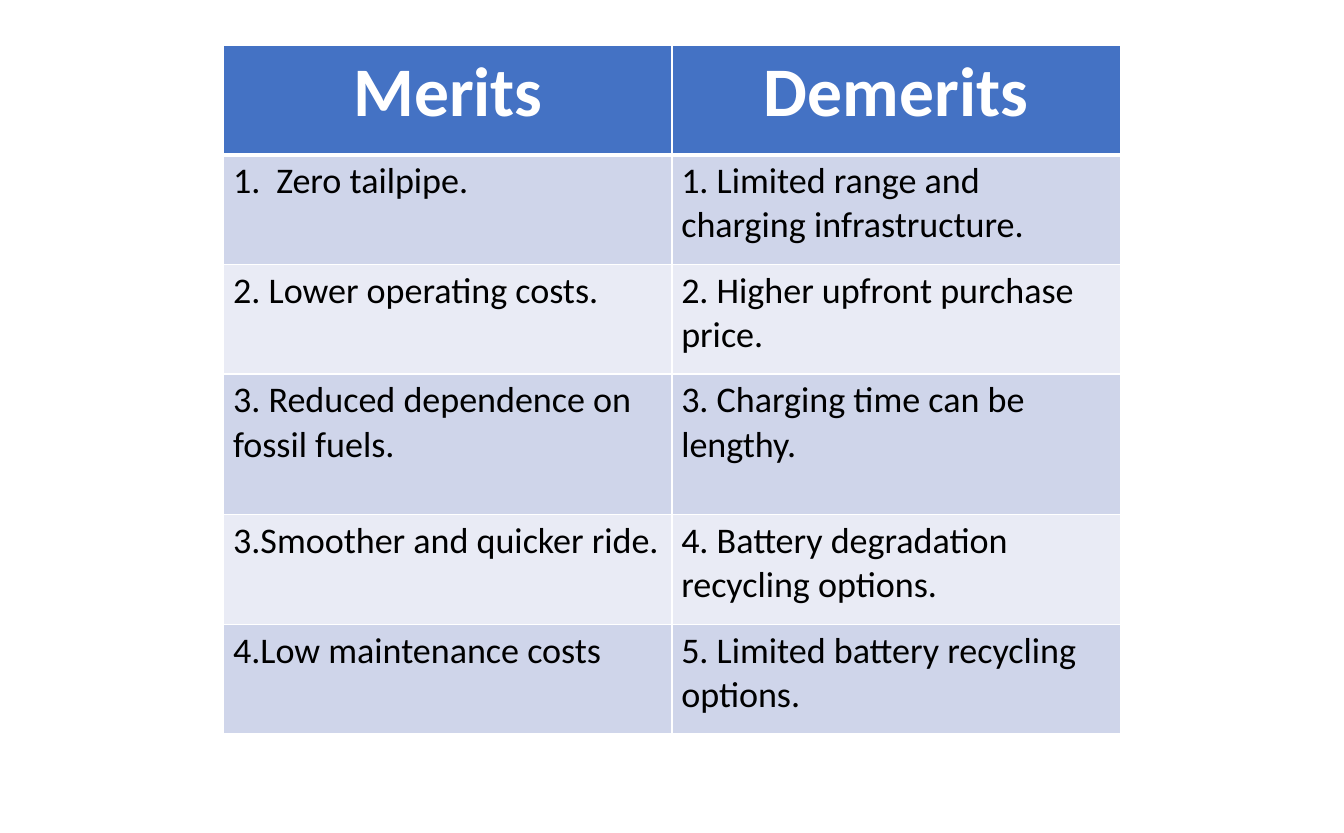
"""Build a slide with a table of merits and demerits."""
from lxml import etree
from pptx import Presentation
from pptx import util as u
from pptx.dml.color import RGBColor
from pptx.enum import text
from pptx.oxml.ns import qn

ROWS = [
    ("Merits", "Demerits"),
    ("1.\tZero tailpipe.", "1. Limited range and charging infrastructure."),
    ("2. Lower operating costs.", "2. Higher upfront purchase price."),
    ("3. Reduced dependence on fossil fuels.", "3. Charging time can be lengthy."),
    ("3.Smoother and quicker ride.", "4. Battery degradation recycling options."),
    ("4.Low maintenance costs", "5. Limited battery recycling options."),
]
HIGHS = [3, 3, 3, 3.86, 3, 3]
WIDE, TALL = 36.8, 22.81
COL, TOP = 12.27, 1.24
TAB = 1.18
HEAD, BANDS = "4472C4", ("E9EBF5", "CFD5EA")
WHITE, BLACK = "FFFFFF", "000000"


def paint(fill, tone):
    fill.solid()
    fill.fore_color.rgb = RGBColor.from_string(tone)


def edge(cell, row):
    props = cell._tc.get_or_add_tcPr()
    thick = {"lnT": row == 1, "lnB": row == 0}
    for side in ("lnL", "lnR", "lnT", "lnB"):
        size = u.Pt(3 if thick.get(side) else 1)
        line = etree.SubElement(props, qn("a:" + side), w=str(size))
        solid = etree.SubElement(line, qn("a:solidFill"))
        etree.SubElement(solid, qn("a:srgbClr"), val=WHITE)


def write(cell, words, head):
    para = cell.text_frame.paragraphs[0]
    para.text = words
    para.alignment = text.PP_ALIGN.CENTER if head else text.PP_ALIGN.LEFT
    if "\t" in words:
        tabs = etree.SubElement(para._p.get_or_add_pPr(), qn("a:tabLst"))
        etree.SubElement(tabs, qn("a:tab"), pos=str(u.Cm(TAB)), algn="l")
    font = para.font
    font.name, font.bold = "Calibri", head
    font.size = u.Pt(54 if head else 28)
    paint(font.fill, WHITE if head else BLACK)


def main():
    deck = Presentation()
    deck.slide_width, deck.slide_height = u.Cm(WIDE), u.Cm(TALL)
    slide = deck.slides.add_slide(deck.slide_layouts[6])
    cols = len(ROWS[0])
    span = cols * COL
    frame = slide.shapes.add_table(
        len(ROWS), cols, u.Cm((WIDE - span) / 2), u.Cm(TOP),
        u.Cm(span), u.Cm(sum(HIGHS)))
    table = frame.table
    for col in table.columns:
        col.width = u.Cm(COL)
    for i, (row, high) in enumerate(zip(ROWS, HIGHS)):
        table.rows[i].height = u.Cm(high)
        for j, words in enumerate(row):
            cell = table.cell(i, j)
            edge(cell, i)
            paint(cell.fill, BANDS[i % 2] if i else HEAD)
            write(cell, words, i == 0)
    deck.save("out.pptx")


if __name__ == "__main__":
    main()
